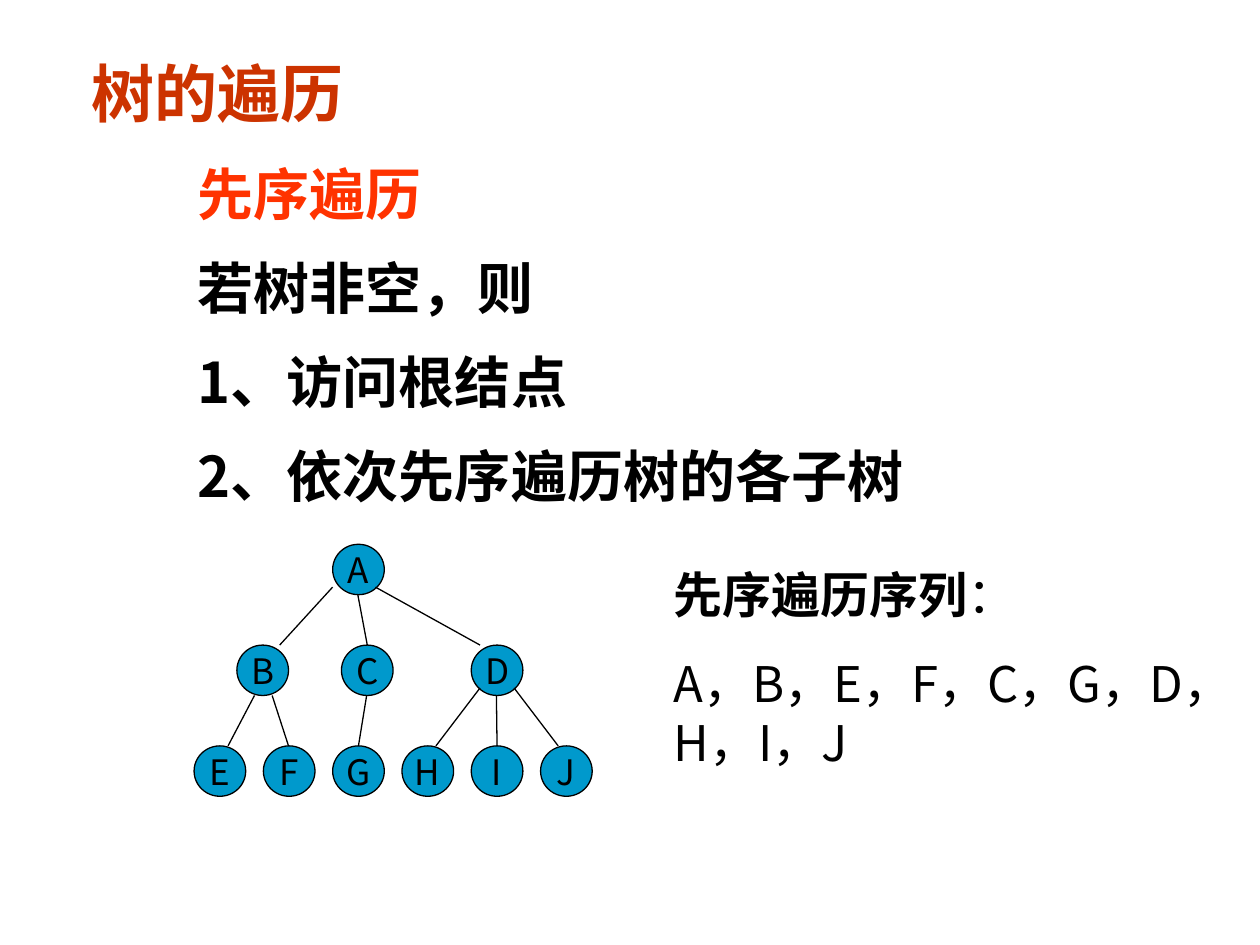
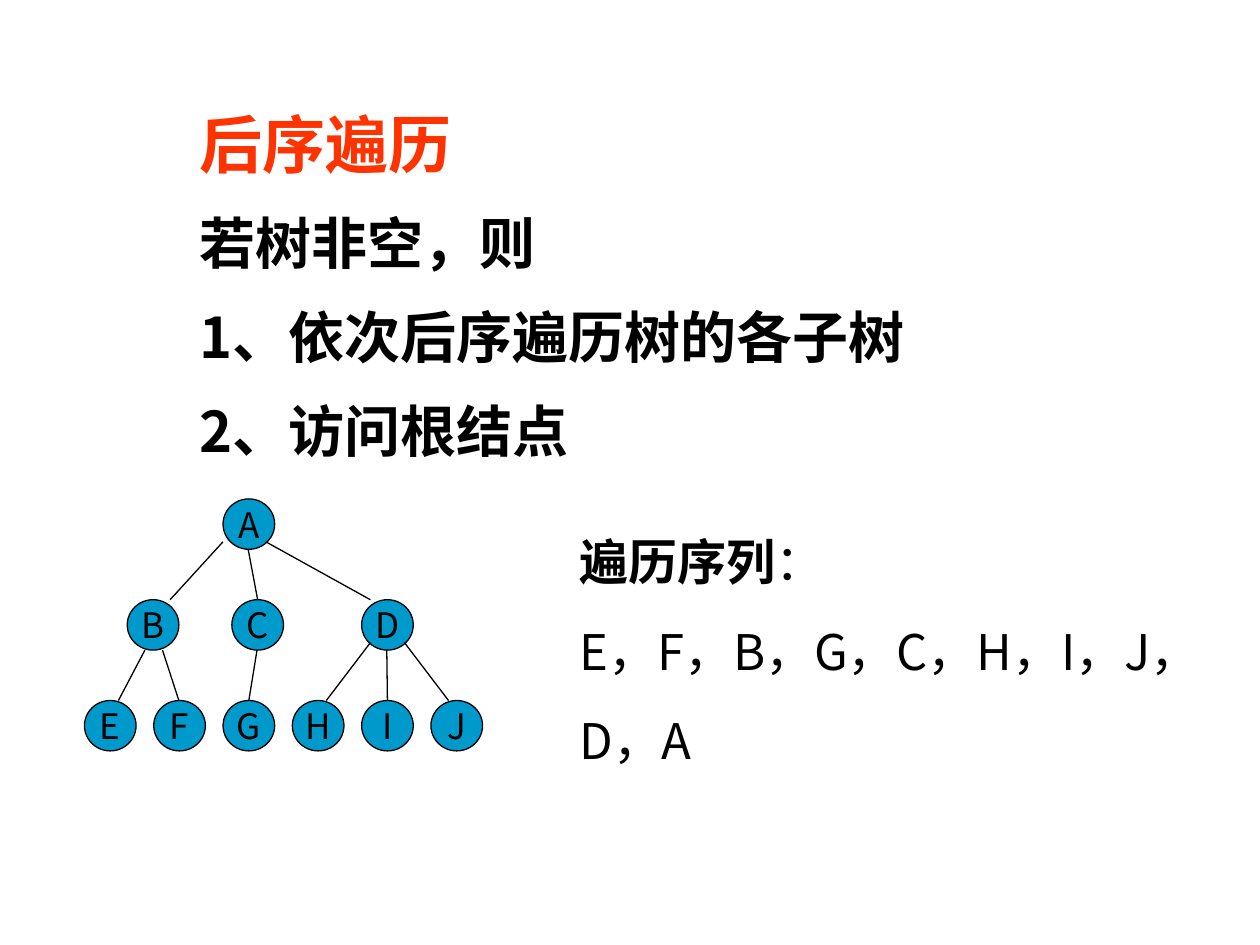
from lxml.etree import SubElement as Sub
from pptx import Presentation
from pptx.dml.color import RGBColor
from pptx.enum.shapes import MSO_CONNECTOR as Link, MSO_SHAPE as Kind
from pptx.enum.text import MSO_ANCHOR as Anchor, MSO_AUTO_SIZE as Fit, PP_ALIGN as Align
from pptx.oxml.ns import qn
from pptx.util import Emu, Pt

PX = 9144  # 100 px to the inch
CJK = "Noto Sans CJK JP"
BLACK, RUST, RED, BLUE = "000000", "CC3300", "FF3300", "0099CC"

NODE_W, NODE_H = 41, 40
STEP, ROW = 55, 80
# Left and top of each node, measured from the corner of the tree
NODES = {"A": (110, 0), "B": (34, ROW), "C": (117, ROW), "D": (220, ROW)}
NODES |= {name: (i * STEP, 2 * ROW) for i, name in enumerate("EFGHIJ")}
# Parent, child, start point in the parent, end offset on the child's top
EDGES = [
    ("A", "B", (0, 34), 34), ("A", "D", (34, 34), 7),
    ("B", "E", (14, 40), 27), ("B", "F", (28, 40), 20),
    ("D", "H", (7, 34), 27), ("D", "J", (34, 34), 14),
]
STEMS = ["AC", "CG", "DI"]  # edges from bottom centre to top centre


def px(*nums):
    return [Emu(n * PX) for n in nums]


def color(code):
    return RGBColor.from_string(code)


def write(frame, paras, size=32, font=CJK, hue=BLACK, bold=False,
          align=Align.LEFT, lead=None, gap=0, anchor=Anchor.TOP, wrap=True):
    """Fill a frame; each paragraph is a list of (text, overrides) runs."""
    frame.word_wrap = wrap
    frame.auto_size = Fit.NONE
    frame.vertical_anchor = anchor
    for i, runs in enumerate(paras):
        para = frame.paragraphs[0] if i == 0 else frame.add_paragraph()
        props = para._p.get_or_add_pPr()
        props.set("marL", "0")
        props.set("indent", "0")
        Sub(props, qn("a:buNone"))
        para.alignment = align
        para.line_spacing = lead
        para.space_before = Pt(gap if i else 0)
        for words, own in runs:
            run = para.add_run()
            run.text = words
            face = run.font
            face.name = font
            face.size = Pt(own.get("size", size))
            face.bold = own.get("bold", bold)
            face.color.rgb = color(own.get("hue", hue))
            Sub(run._r.rPr, qn("a:ea"), typeface=CJK)


class Deck:
    def __init__(self):
        self.prs = Presentation()
        self.prs.slide_width, self.prs.slide_height = px(1000, 750)
        self.slide = None

    def page(self, title=None):
        self.slide = self.prs.slides.add_slide(self.prs.slide_layouts[1])
        head = self.slide.shapes.title
        if title is None:
            head._element.getparent().remove(head._element)
            return
        self.place(head, 63, 38, 300, 70)
        write(head.text_frame, [[(title, {})]], size=36, font="Arial",
              hue=RUST, bold=True)

    def place(self, shape, *box):
        shape.left, shape.top, shape.width, shape.height = px(*box)

    def steps(self, x, y, high, head, lines, size=32):
        """Write a red heading and the rules of a traversal under it."""
        body = self.slide.placeholders[1]
        self.place(body, x, y, 650, high)
        paras = [[(head, {"hue": RED, "size": size})]]
        paras += [[(line, {})] for line in lines]
        write(body.text_frame, paras, bold=True, lead=1.4)

    def order(self, box, label, lines):
        """Write the order in which the nodes are visited."""
        frame = self.slide.shapes.add_textbox(*px(*box)).text_frame
        paras = [[(label, {"bold": True}), ("：", {})]]
        paras += [[(line, {})] for line in lines]
        write(frame, paras, size=28, gap=17.5)

    def node(self, name, x, y):
        dot = self.slide.shapes.add_shape(Kind.OVAL, *px(x, y, NODE_W, NODE_H))
        dot.shadow.inherit = False
        dot.fill.solid()
        dot.fill.fore_color.rgb = color(BLUE)
        dot.line.color.rgb = color(BLACK)
        dot.line.width = Pt(0.75)
        write(dot.text_frame, [[(name, {})]], size=20, align=Align.CENTER,
              anchor=Anchor.MIDDLE, wrap=False)
        return dot

    def edge(self, *ends):
        line = self.slide.shapes.add_connector(Link.STRAIGHT, *px(*ends))
        line.line.color.rgb = color(BLACK)
        line.line.width = Pt(0.75)
        Sub(line._element.spPr, qn("a:effectLst"))
        return line

    def tree(self, left, top):
        spots = {k: (left + x, top + y) for k, (x, y) in NODES.items()}
        dots = {k: self.node(k, *spot) for k, spot in spots.items()}
        for up, down, (dx, dy), end in EDGES:
            (x1, y1), (x2, y2) = spots[up], spots[down]
            self.edge(x1 + dx, y1 + dy, x2 + end, y2)
        for up, down in STEMS:
            (x1, y1), (x2, y2) = spots[up], spots[down]
            mid = NODE_W // 2
            line = self.edge(x1 + mid, y1 + NODE_H, x2 + mid, y2)
            line.end_connect(dots[down], 0)


def main():
    deck = Deck()

    deck.page("树的遍历")
    deck.steps(147, 100, 384, "先序遍历",
               ["若树非空，则", "1、访问根结点", "2、依次先序遍历树的各子树"])
    deck.tree(154, 432)
    deck.order((525, 443, 467, 175), "先序遍历序列",
               ["A，B，E，F，C，G，D，H，I，J"])

    deck.page()
    deck.steps(148, 55, 318, "后序遍历",
               ["若树非空，则", "1、依次后序遍历树的各子树", "2、访问根结点"],
               size=36)
    deck.tree(67, 396)
    deck.order((450, 417, 525, 246), "遍历序列",
               ["E，F，B，G，C，H，I，J，", "D，A"])

    deck.prs.save("out.pptx")


if __name__ == "__main__":
    main()
